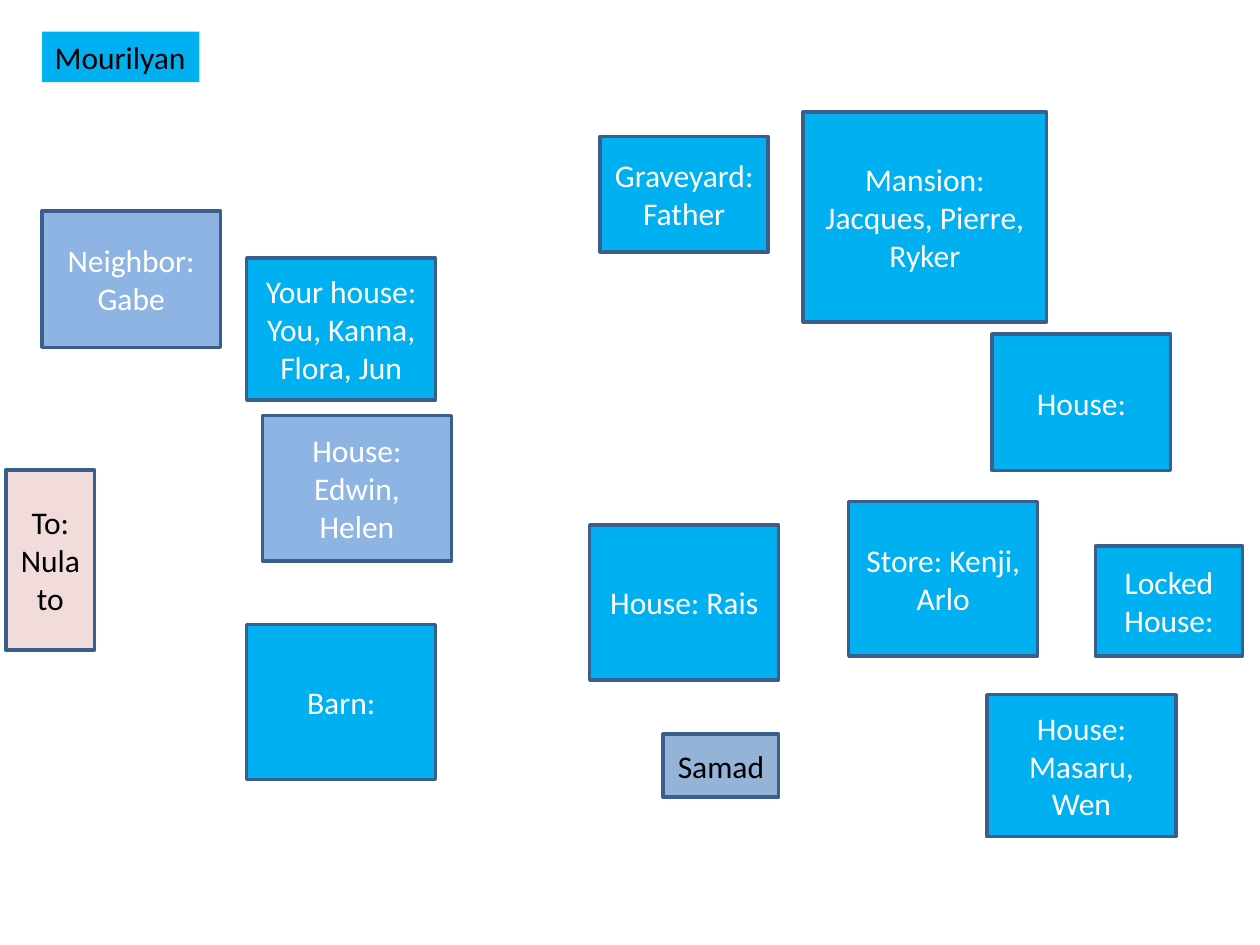
from pptx import Presentation
from pptx.dml.color import RGBColor
from pptx.enum.shapes import MSO_SHAPE
from pptx.enum.text import MSO_ANCHOR, MSO_AUTO_SIZE, PP_ALIGN
from pptx.util import Pt

RECT = MSO_SHAPE.RECTANGLE
TOP, MIDDLE = MSO_ANCHOR.TOP, MSO_ANCHOR.MIDDLE
LEFT, CENTER = PP_ALIGN.LEFT, PP_ALIGN.CENTER
NO_FIT = MSO_AUTO_SIZE.NONE
TITLE_ONLY = 5

COLORS = {
    "blue": "00B0F0",
    "pale": "8EB4E3",
    "steel": "95B3D7",
    "pink": "F2DCDB",
    "edge": "3A5F8C",
    "white": "FFFFFF",
    "black": "000000",
}

# Text, left, top, width, height, fill, text colour
PLACES = [
    ("Your house:\nYou, Kanna, Flora, Jun", 141, 147.5, 108, 81, "blue", "white"),
    ("Neighbor:\nGabe", 24, 120.5, 102, 78, "pale", "white"),
    ("Mansion: Jacques, Pierre, Ryker", 459, 64, 139, 120, "blue", "white"),
    ("House: Edwin, Helen", 150, 237.5, 108, 83, "pale", "white"),
    ("To: Nulato", 3.5, 268.5, 50.5, 103, "pink", "black"),
    ("Samad", 379, 419.5, 66, 36, "steel", "black"),
    ("Store: Kenji, Arlo", 485, 286.5, 108, 88.5, "blue", "white"),
    ("Graveyard: Father", 343, 78, 96, 66, "blue", "white"),
    ("Barn:", 141, 357, 108, 88.5, "blue", "white"),
    ("House: Masaru, Wen", 564, 397, 108, 81, "blue", "white"),
    ("House:", 567, 191, 102, 78, "blue", "white"),
    ("House: Rais", 337, 300, 108, 88.5, "blue", "white"),
    ("Locked House:", 626, 312, 84, 63, "blue", "white"),
]


class Map:
    """Holds the style and the current slide."""

    font = "Calibri"
    size = 18
    edge = 2

    def __init__(self, slide):
        """Keep the slide to draw on."""
        self.slide = slide

    def paint(self, shape, fill):
        """Fill a shape with a named colour."""
        shape.fill.solid()
        shape.fill.fore_color.rgb = RGBColor.from_string(COLORS[fill])

    def label(self, shape, text, color, align, anchor):
        """Put styled text in a shape."""
        frame = shape.text_frame
        frame.text = text
        frame.vertical_anchor = anchor
        for para in frame.paragraphs:
            para.alignment = align
            for run in para.runs:
                run.font.name = self.font
                run.font.size = Pt(self.size)
                run.font.color.rgb = RGBColor.from_string(COLORS[color])

    def title(self, text, left, top, width, height):
        """Use the title placeholder as the map label."""
        shape = self.slide.shapes.title
        shape.left, shape.top = Pt(left), Pt(top)
        shape.width, shape.height = Pt(width), Pt(height)
        self.paint(shape, "blue")
        self.label(shape, text, "black", LEFT, TOP)
        shape.text_frame.word_wrap = False
        shape.text_frame.auto_size = NO_FIT

    def place(self, text, left, top, width, height, fill, color):
        """Draw one outlined place on the map."""
        shape = self.slide.shapes.add_shape(
            RECT, Pt(left), Pt(top), Pt(width), Pt(height))
        shape.shadow.inherit = False
        self.paint(shape, fill)
        shape.line.color.rgb = RGBColor.from_string(COLORS["edge"])
        shape.line.width = Pt(self.edge)
        self.label(shape, text, color, CENTER, MIDDLE)
        shape.text_frame.word_wrap = True


def main():
    """Build the town map and save it."""
    deck = Presentation()
    deck.slide_width, deck.slide_height = Pt(720), Pt(540)
    town = Map(deck.slides.add_slide(deck.slide_layouts[TITLE_ONLY]))
    town.title("Mourilyan", 24, 18, 90, 29)
    for spot in PLACES:
        town.place(*spot)
    deck.save("out.pptx")


main()
